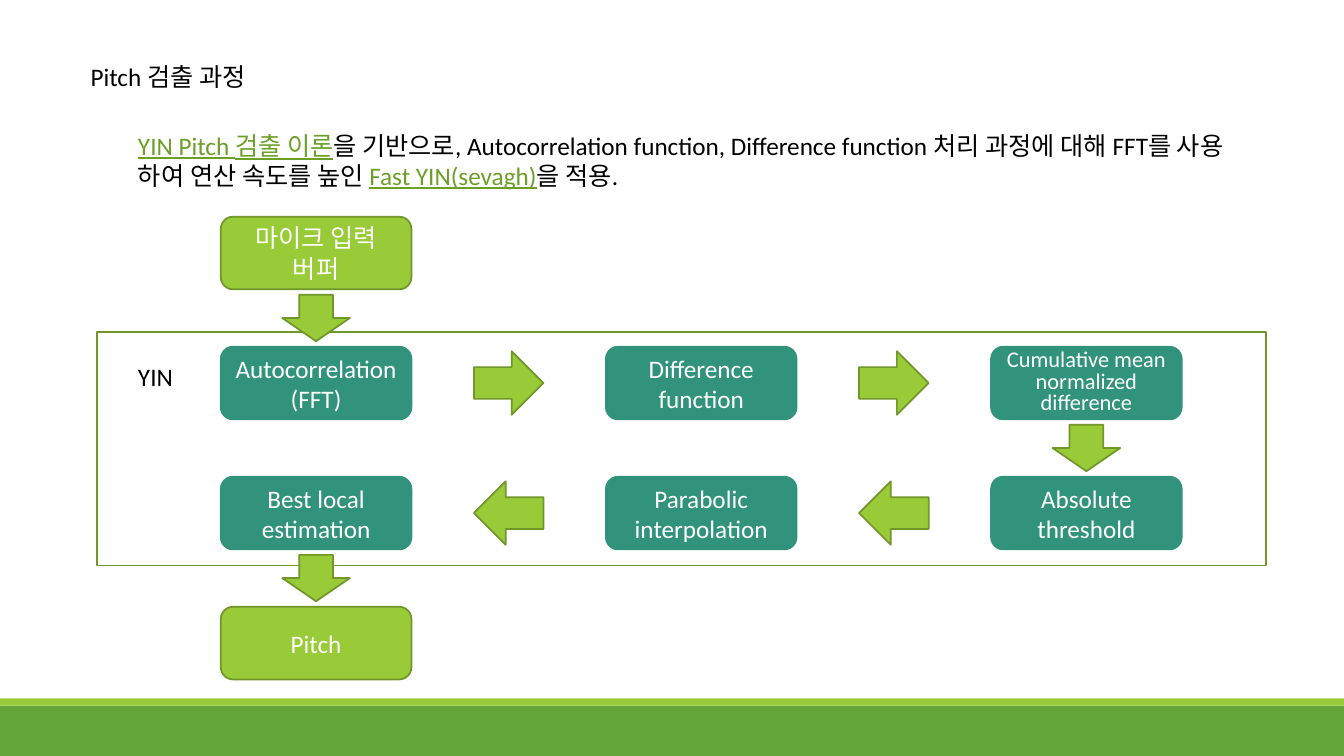
from pptx import Presentation
from pptx.dml.color import RGBColor
from pptx.enum.shapes import MSO_SHAPE
from pptx.enum.text import MSO_ANCHOR, PP_ALIGN
from pptx.util import Inches, Pt

RECT = MSO_SHAPE.RECTANGLE
ROUND = MSO_SHAPE.ROUNDED_RECTANGLE
RIGHT = MSO_SHAPE.RIGHT_ARROW
LEFT = MSO_SHAPE.LEFT_ARROW
DOWN = MSO_SHAPE.DOWN_ARROW
MIDDLE = MSO_ANCHOR.MIDDLE
CENTER = PP_ALIGN.CENTER

WHITE = RGBColor(0xFF, 0xFF, 0xFF)
BLACK = RGBColor(0, 0, 0)
GREEN = RGBColor(0x63, 0xA5, 0x37)
LIME = RGBColor(0x99, 0xCB, 0x38)
OLIVE = RGBColor(0x71, 0x96, 0x29)
TEAL = RGBColor(0x31, 0x93, 0x7B)
LINK = RGBColor(0x6B, 0x9F, 0x25)

FONT = "Calibri"
WIDE, HIGH = 13.33, 7.5
COL, COL_STEP = 2.19, 3.82
ROW, ROW_STEP = 2.15, 1.29
BOX_W, BOX_H = 1.89, 0.72
SIDE_W, SIDE_H = 0.69, 0.63
DOWN_W, DOWN_H = 0.67, 0.46

STEPS = [
    (0, 1, ["Autocorrelation", "(FFT)"], 18, 1),
    (1, 1, ["Difference function"], 18, 1),
    (2, 1, ["Cumulative mean normalized difference"], 16, 0.8),
    (2, 2, ["Absolute threshold"], 18, 1),
    (1, 2, ["Parabolic interpolation"], 18, 1),
    (0, 2, ["Best local estimation"], 18, 1),
]
ENDS = [(0, 0, ["마이크 입력", "버퍼"]), (0, 3, ["Pitch"])]
SIDES = [(0, 1, RIGHT), (1, 1, RIGHT), (1, 2, LEFT), (0, 2, LEFT)]
DOWNS = [(0, 0), (2, 1), (0, 2)]
INTRO = [
    [("YIN Pitch 검출 이론", True),
     ("을 기반으로, Autocorrelation function, Difference function "
      "처리 과정에 대해 FFT를 사용", False)],
    [("하여 연산 속도를 높인 ", False), ("Fast YIN(sevagh)", True),
     ("을 적용.", False)],
]


def spot(col, row):
    return COL + col * COL_STEP, ROW + row * ROW_STEP


def add_form(slide, kind, x, y, w, h, fill=None, line=None):
    form = slide.shapes.add_shape(
        kind, Inches(x), Inches(y), Inches(w), Inches(h))
    form.shadow.inherit = False
    if fill is None:
        form.fill.background()
    else:
        form.fill.solid()
        form.fill.fore_color.rgb = fill
    if line is None:
        form.line.fill.background()
    else:
        form.line.color.rgb = line
        form.line.width = Pt(1.25)
    return form


def add_box(slide, col, row, lines, fill, line, size=18, space=1):
    x, y = spot(col, row)
    frame = add_form(
        slide, ROUND, x, y, BOX_W, BOX_H, fill, line).text_frame
    frame.word_wrap = True
    frame.vertical_anchor = MIDDLE
    frame.text = "\n".join(lines)
    for para in frame.paragraphs:
        para.alignment = CENTER
        para.line_spacing = space
        para.font.name = FONT
        para.font.size = Pt(size)
        para.font.color.rgb = WHITE


def add_side(slide, col, row, kind):
    x, y = spot(col, row)
    gap = (COL_STEP - BOX_W - SIDE_W) / 2
    add_form(slide, kind, x + BOX_W + gap, y + (BOX_H - SIDE_H) / 2,
             SIDE_W, SIDE_H, LIME, OLIVE)


def add_down(slide, col, row):
    x, y = spot(col, row)
    gap = (ROW_STEP - BOX_H - DOWN_H) / 2
    add_form(slide, DOWN, x + (BOX_W - DOWN_W) / 2, y + BOX_H + gap,
             DOWN_W, DOWN_H, LIME, OLIVE)


def add_note(slide, x, y, w, h, lines):
    note = slide.shapes.add_textbox(
        Inches(x), Inches(y), Inches(w), Inches(h))
    frame = note.text_frame
    frame.word_wrap = False
    for i, parts in enumerate(lines):
        para = frame.add_paragraph() if i else frame.paragraphs[0]
        para.font.name = FONT
        para.font.size = Pt(18)
        para.font.color.rgb = BLACK
        for text, link in parts:
            run = para.add_run()
            run.text = text
            if link:
                run.font.color.rgb = LINK
                run.font.underline = True


def main():
    deck = Presentation()
    deck.slide_width = Inches(WIDE)
    deck.slide_height = Inches(HIGH)
    slide = deck.slides.add_slide(deck.slide_layouts[6])

    add_form(slide, RECT, 0, HIGH - 0.5, WIDE, 0.5, GREEN)
    add_form(slide, RECT, 0, HIGH - 0.57, WIDE, 0.07, LIME)
    add_note(slide, 0.8, 0.56, 1.84, 0.4, [[("Pitch 검출 과정", False)]])
    add_note(slide, 1.27, 1.24, 11.48, 0.71, INTRO)

    add_form(slide, RECT, 0.96, 3.29, 11.6, 2.32, line=OLIVE)
    add_note(slide, 1.27, 3.54, 0.55, 0.4, [[("YIN", False)]])
    for col, row, lines, size, space in STEPS:
        add_box(slide, col, row, lines, TEAL, TEAL, size, space)
    for col, row, lines in ENDS:
        add_box(slide, col, row, lines, LIME, OLIVE)
    for col, row, kind in SIDES:
        add_side(slide, col, row, kind)
    for col, row in DOWNS:
        add_down(slide, col, row)

    deck.save("out.pptx")


main()
